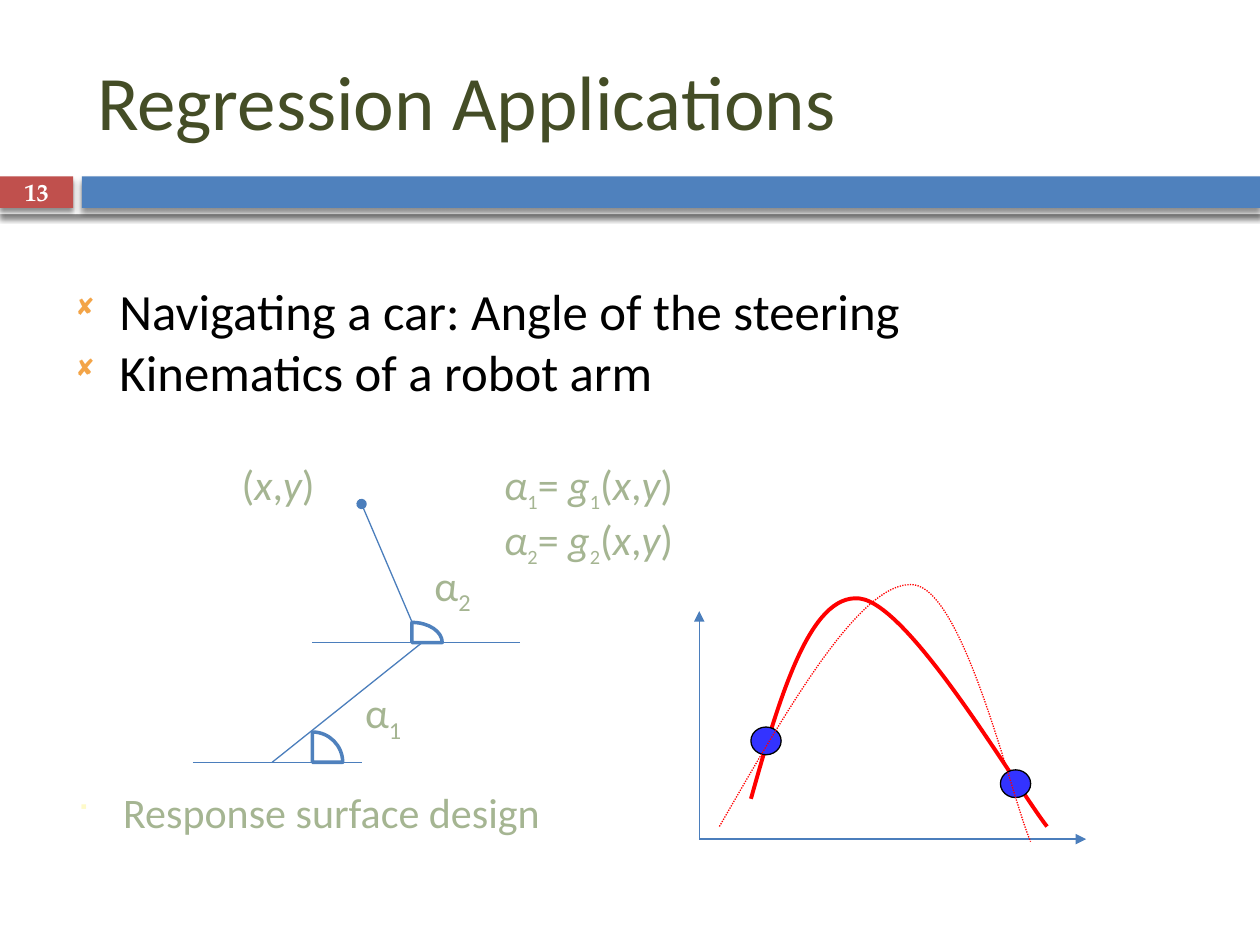
from lxml.etree import SubElement
from pptx import Presentation
from pptx.dml.color import RGBColor
from pptx.enum.dml import MSO_LINE
from pptx.enum.shapes import MSO_CONNECTOR, MSO_SHAPE
from pptx.enum.text import MSO_ANCHOR, MSO_AUTO_SIZE, PP_ALIGN
from pptx.oxml.ns import qn
from pptx.util import Inches, Pt

WHITE = RGBColor(0xFF, 0xFF, 0xFF)
BLACK = RGBColor(0, 0, 0)
OLIVE = RGBColor(0x44, 0x4D, 0x26)
SAGE = RGBColor(0xA5, 0xB5, 0x92)
BLUE = RGBColor(0x4F, 0x81, 0xBD)
LINE_BLUE = RGBColor(0x4B, 0x7E, 0xBC)
BRICK = RGBColor(0xC0, 0x50, 0x4D)
RED = RGBColor(0xFF, 0, 0)
DOT_BLUE = RGBColor(0x33, 0x33, 0xFF)
ORANGE = RGBColor(0xF3, 0xA4, 0x47)
CREAM = RGBColor(0xFE, 0xFA, 0xC9)

# Content: a paragraph is a list of (text, style); "i" is italic, "s" subscript
TITLE = "Regression Applications"
PAGE_NUMBER = "13"
BULLETS = ["Navigating a car: Angle of the steering", "Kinematics of a robot arm"]
LAST_BULLET = "Response surface design"
POINT = [("(", ""), ("x", "i"), (",", ""), ("y", "i"), (")", "")]
FORMULAS = [[("α", "i"), (n, "s"), ("= ", ""), ("g", "i"), (n, "s")] + POINT for n in "12"]
ANGLE_LABELS = [("1", 2.8, 5.4), ("2", 3.35, 4.39)]

BANDS = [  # left, top, width, height, colour
    (0, 1.35, 10, 0.35, WHITE),
    (0, 1.4, 0.58, 0.25, BRICK),
    (0.65, 1.4, 9.35, 0.25, BLUE),
]
ARM_LINES = [  # start, end, end mark
    ((1.53, 6.05), (2.87, 6.05), None),
    ((2.16, 6.05), (3.35, 5.1), None),
    ((3.34, 5.1), (2.87, 4), "oval"),
    ((2.48, 5.1), (4.13, 5.1), None),
]
AXES = [((5.55, 6.66), (8.62, 6.66), "triangle"), ((5.55, 6.66), (5.55, 4.85), "triangle")]
ANGLES = [(3.27, 4.94, 0.24, 0.16), (2.48, 5.81, 0.24, 0.24)]

# Curves: a start point, then two control points and an end point per piece
FITTED_CURVE = [(5.96, 6.34), (6.19, 5.52), (6.43, 4.71), (6.82, 4.75),
                (7.22, 4.79), (8.06, 6.24), (8.31, 6.56)]
TRUE_CURVE = [(5.71, 6.56), (6.27, 5.59), (6.83, 4.62), (7.24, 4.64),
              (7.65, 4.66), (8.03, 6.34), (8.18, 6.68)]
SAMPLES = [(5.96, 5.77), (7.94, 6.11)]


def set_format(target, values):
    for name, value in values.items():
        setattr(target, name, value)


def paint(shape, fill=None, line=None, width=0.75):
    shape.shadow.inherit = False
    if fill is None:
        shape.fill.background()
    else:
        shape.fill.solid()
        shape.fill.fore_color.rgb = fill
    if line is None:
        shape.line.fill.background()
    else:
        shape.line.color.rgb = line
        shape.line.width = Pt(width)


def write(shape, paragraphs, size, color, font="Calibri", bold=False, sub_size=None,
          align=PP_ALIGN.LEFT, wrap=True, anchor=MSO_ANCHOR.TOP):
    frame = shape.text_frame
    set_format(frame, {"word_wrap": wrap, "auto_size": MSO_AUTO_SIZE.NONE,
                       "vertical_anchor": anchor})
    for index, runs in enumerate(paragraphs):
        paragraph = frame.add_paragraph() if index else frame.paragraphs[0]
        paragraph.alignment = align
        for text, style in runs:
            run = paragraph.add_run()
            run.text = text
            run_size = sub_size if style == "s" and sub_size else size
            set_format(run.font, {"name": font, "size": Pt(run_size), "bold": bold,
                                  "italic": style == "i"})
            run.font.color.rgb = color
            if style == "s":
                run.font._element.set("baseline", "-25000")
    return frame.paragraphs


def add_text(slide, box, paragraphs, size, color, **options):
    shape = slide.shapes.add_textbox(*map(Inches, box))
    return write(shape, paragraphs, size, color, **options)


def set_indent(paragraph, indent, bullet=None, color=None, percent=100):
    properties = paragraph._p.get_or_add_pPr()
    properties.set("marL", str(Inches(indent)))
    properties.set("indent", str(Inches(-indent)))
    if bullet:
        bullet_color = SubElement(properties, qn("a:buClr"))
        SubElement(bullet_color, qn("a:srgbClr"), val=str(color))
        SubElement(properties, qn("a:buSzPct"), val=str(percent * 1000))
        SubElement(properties, qn("a:buFont"), typeface="Wingdings", charset="2")
        SubElement(properties, qn("a:buChar"), char=bullet)


def add_shadow(shape):
    effects = shape._element.spPr.find(qn("a:effectLst"))
    shadow = SubElement(effects, qn("a:outerShdw"), blurRad=str(Pt(3)), dist=str(Pt(2.4)),
                        dir="5400000", rotWithShape="0")
    color = SubElement(shadow, qn("a:srgbClr"), val="000000")
    SubElement(color, qn("a:alpha"), val="45000")


def add_line(slide, start, end, mark):
    line = slide.shapes.add_connector(MSO_CONNECTOR.STRAIGHT, *map(Inches, start + end))
    line.line.color.rgb = LINE_BLUE
    line.line.width = Pt(0.75)
    if mark:
        SubElement(line.line._get_or_add_ln(), qn("a:tailEnd"), type=mark)
    SubElement(line._element.spPr, qn("a:effectLst"))


def add_curve(slide, points, corner=None):
    """Draw cubic pieces; a corner closes the outline with straight sides."""
    vertices = [(Inches(x), Inches(y)) for x, y in points + ([corner] if corner else [])]
    builder = slide.shapes.build_freeform(*vertices[0])
    builder.add_line_segments(vertices[1:], close=bool(corner))
    shape = builder.convert_to_shape()
    segments = list(shape._element.iter(qn("a:lnTo")))[:len(points) - 1]
    for first in range(0, len(segments), 3):
        piece = segments[first:first + 3]
        piece[0].tag = qn("a:cubicBezTo")
        for segment in piece[1:]:
            piece[0].append(segment[0])
            segment.getparent().remove(segment)
    return shape


presentation = Presentation()
set_format(presentation, {"slide_width": Inches(10), "slide_height": Inches(7.5)})
slide = presentation.slides.add_slide(presentation.slide_layouts[5])

# Header bands, title and page number
for *box, color in BANDS:
    band = slide.shapes.add_shape(MSO_SHAPE.RECTANGLE, *map(Inches, box))
    paint(band, color)
    add_shadow(band)
title = slide.shapes.title
set_format(title, {"left": Inches(0.67), "top": Inches(0.25),
                   "width": Inches(8.92), "height": Inches(1.08)})
write(title, [[(TITLE, "")]], 44, OLIVE, anchor=MSO_ANCHOR.MIDDLE)
add_text(slide, (0, 1.39, 0.58, 0.27), [[(PAGE_NUMBER, "")]], 14, WHITE, bold=True,
         font="TeX Gyre Pagella", align=PP_ALIGN.CENTER, anchor=MSO_ANCHOR.MIDDLE)

# Bullets and formulas
for paragraph in add_text(slide, (0.5, 2.17, 9, 1.98), [[(text, "")] for text in BULLETS],
                          29, BLACK):
    set_indent(paragraph, 0.35, "◻", ORANGE, 60)
for paragraph in add_text(slide, (3.9, 3.59, 2.44, 1.18), FORMULAS, 24, SAGE, sub_size=20):
    set_indent(paragraph, 0.37)
for paragraph in add_text(slide, (0.51, 6.19, 9, 0.71), [[(LAST_BULLET, "")]], 24, SAGE):
    set_indent(paragraph, 0.37, "■", CREAM, 75)

# Robot arm and chart axes
for start, end, mark in ARM_LINES + AXES:
    add_line(slide, start, end, mark)
for left, top, width, height in ANGLES:
    right, bottom = left + width, top + height
    arc = [(left, top), (left + 0.55 * width, top),
           (right, bottom - 0.55 * height), (right, bottom)]
    paint(add_curve(slide, arc, corner=(left, bottom)), WHITE, BLUE, 2)
for number, left, top in ANGLE_LABELS:
    add_text(slide, (left, top, 0.5, 0.55), [[("α", ""), (number, "s")]], 24, SAGE, wrap=False)
add_text(slide, (1.82, 3.59, 0.85, 0.5), [POINT], 24, SAGE, wrap=False)

# Response curves and sample points
paint(add_curve(slide, FITTED_CURVE), line=RED, width=2.25)
for left, top in SAMPLES:
    sample = slide.shapes.add_shape(MSO_SHAPE.OVAL, *map(Inches, (left, top, 0.24, 0.22)))
    paint(sample, DOT_BLUE, BLACK)
true_curve = add_curve(slide, TRUE_CURVE)
paint(true_curve, line=RED)
true_curve.line.dash_style = MSO_LINE.ROUND_DOT

presentation.save("out.pptx")
